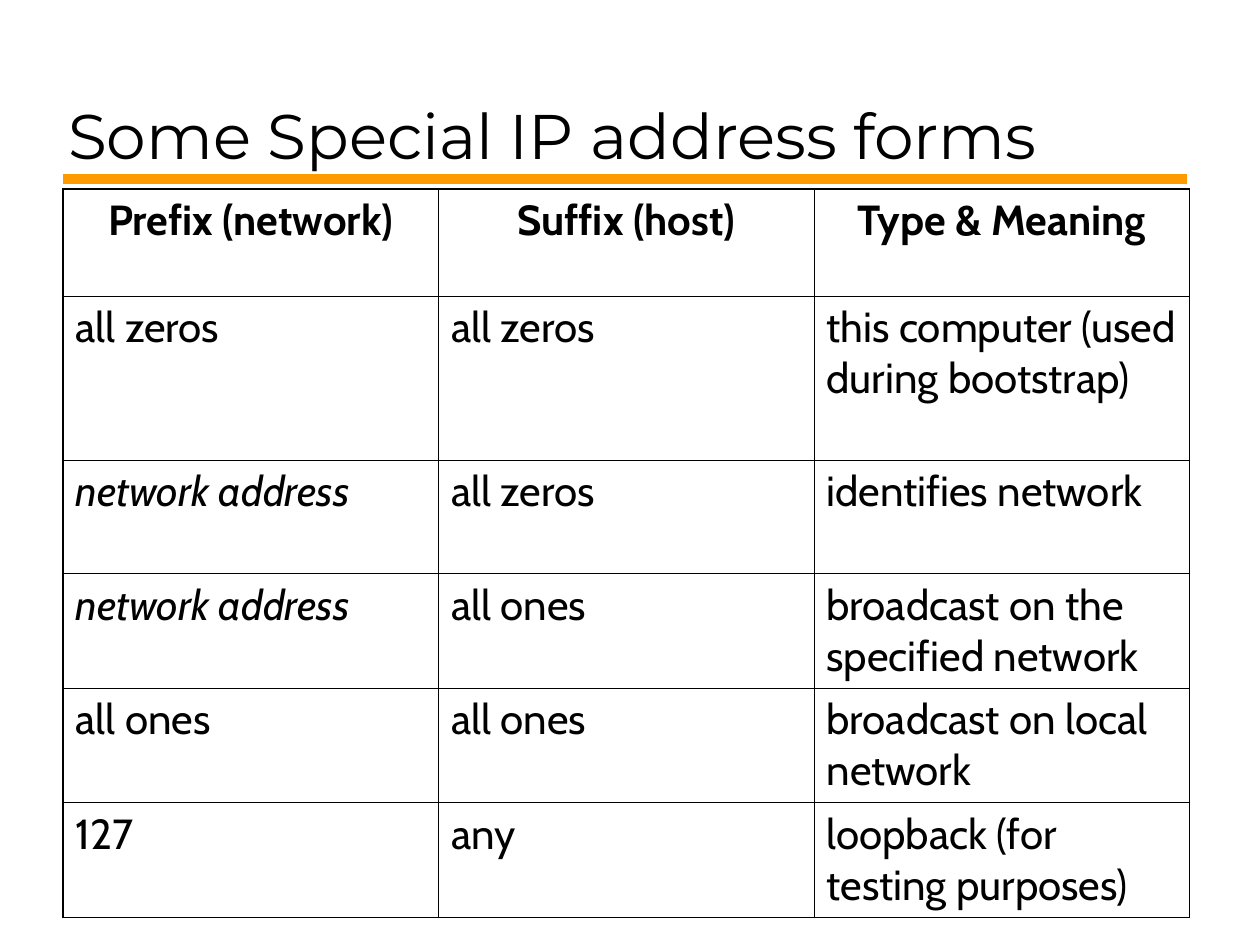
"""Build a slide with a table of special IP address forms."""
from lxml.etree import SubElement
from pptx import Presentation
from pptx.dml.color import RGBColor
from pptx.enum.shapes import MSO_CONNECTOR as Link
from pptx.enum.text import MSO_ANCHOR as Anchor, MSO_AUTO_SIZE as Fit, PP_ALIGN as Align
from pptx.oxml import parse_xml
from pptx.oxml.ns import nsdecls, qn
from pptx.util import Inches, Pt

TITLE = "Some Special IP address forms"
ROWS = [
    ("Prefix (network)", "Suffix (host)", "Type & Meaning"),
    ("all zeros", "all zeros", "this computer (used during bootstrap)"),
    ("network address", "all zeros", "identifies network"),
    ("network address", "all ones", "broadcast on the specified network"),
    ("all ones", "all ones", "broadcast on local network"),
    ("127", "any", "loopback (for testing purposes)"),
]
SLANTED = "network address"
HEIGHTS = [0.85, 1.3, 0.9, 0.9, 0.9, 0.9]
WIDTH = 2.98
THICK, THIN = 1.08, 0.45
BLACK = RGBColor(0, 0, 0)
ORANGE = RGBColor(0xFF, 0x99, 0x00)


def style(para, face, size):
    for run in para.runs:
        run.font.name = face
        run.font.size = Pt(size)
        run.font.color.rgb = BLACK


def add_title(slide):
    title = slide.shapes.title
    title.left, title.top = Inches(0.44), Inches(0.17)
    title.width, title.height = Inches(8.97), Inches(1.25)
    frame = title.text_frame
    frame.text = TITLE
    frame.auto_size = Fit.NONE
    frame.vertical_anchor = Anchor.BOTTOM
    para = frame.paragraphs[0]
    para.alignment = Align.LEFT
    style(para, "Montserrat", 36)


def add_rule(slide):
    rule = slide.shapes.add_connector(
        Link.STRAIGHT, Inches(0.5), Inches(1.42), Inches(9.42), Inches(1.42))
    rule.line.color.rgb = ORANGE
    rule.line.width = Pt(6)
    SubElement(rule.element.spPr, qn("a:effectLst"))


def set_edges(cell, row, col):
    outer = {"L": col == 0, "R": col == len(ROWS[0]) - 1,
             "T": row == 0, "B": row == len(ROWS) - 1}
    props = cell._tc.get_or_add_tcPr()
    for spot, (side, edge) in enumerate(outer.items()):
        width = Pt(THICK if edge else THIN)
        props.insert(spot, parse_xml(
            f'<a:ln{side} {nsdecls("a")} w="{width}"><a:solidFill>'
            f'<a:srgbClr val="{BLACK}"/></a:solidFill></a:ln{side}>'))


def fill_cell(cell, text, row, col):
    cell.fill.background()
    set_edges(cell, row, col)
    cell.text_frame.text = text
    para = cell.text_frame.paragraphs[0]
    para.space_before = Pt(6)
    para.alignment = Align.LEFT if row else Align.CENTER
    style(para, "Cabin", 24)
    para.runs[0].font.bold = row == 0
    para.runs[0].font.italic = text == SLANTED


def add_grid(slide):
    count = len(ROWS[0])
    table = slide.shapes.add_table(
        len(ROWS), count, Inches(0.5), Inches(1.5),
        Inches(WIDTH * count), Inches(sum(HEIGHTS))).table
    for column in table.columns:
        column.width = Inches(WIDTH)
    for row, (texts, height) in enumerate(zip(ROWS, HEIGHTS)):
        table.rows[row].height = Inches(height)
        for col, text in enumerate(texts):
            fill_cell(table.cell(row, col), text, row, col)


def main():
    deck = Presentation()
    deck.slide_width, deck.slide_height = Inches(10), Inches(7.5)
    slide = deck.slides.add_slide(deck.slide_layouts[5])
    add_rule(slide)
    add_title(slide)
    add_grid(slide)
    deck.save("out.pptx")


if __name__ == "__main__":
    main()
